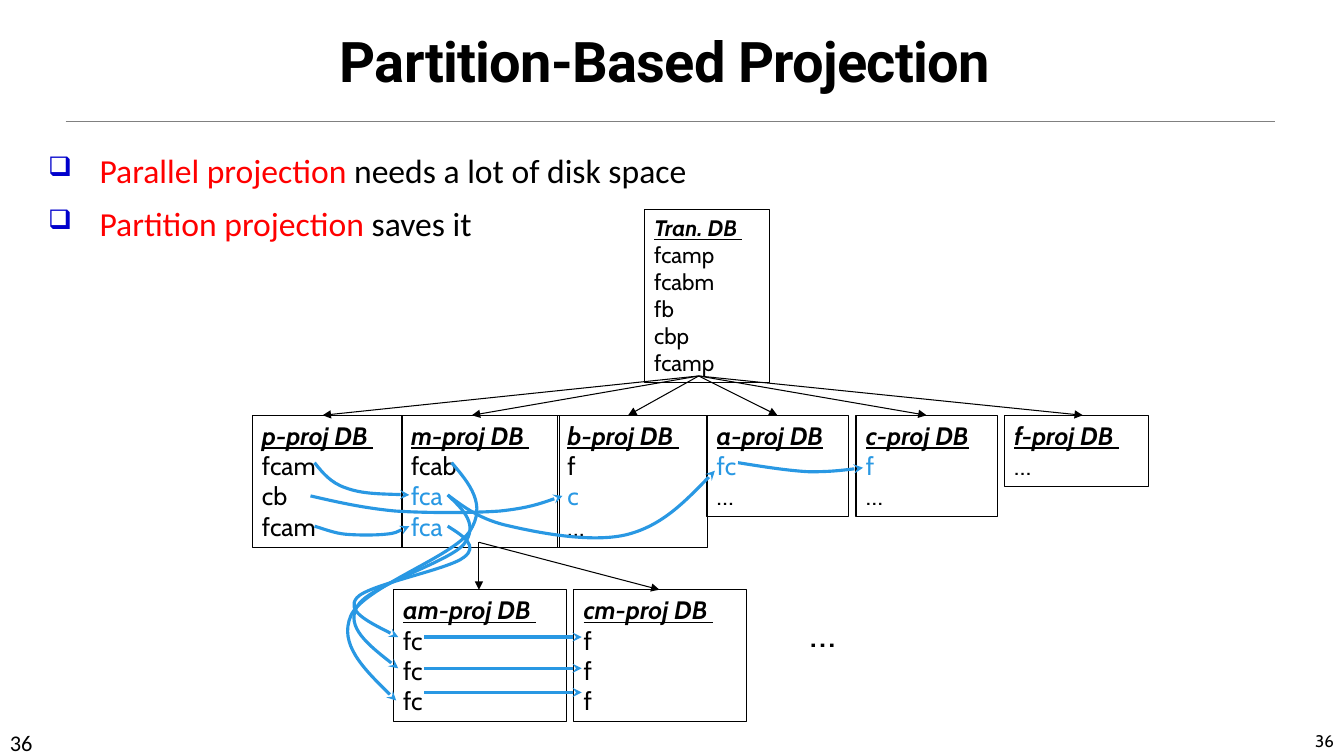
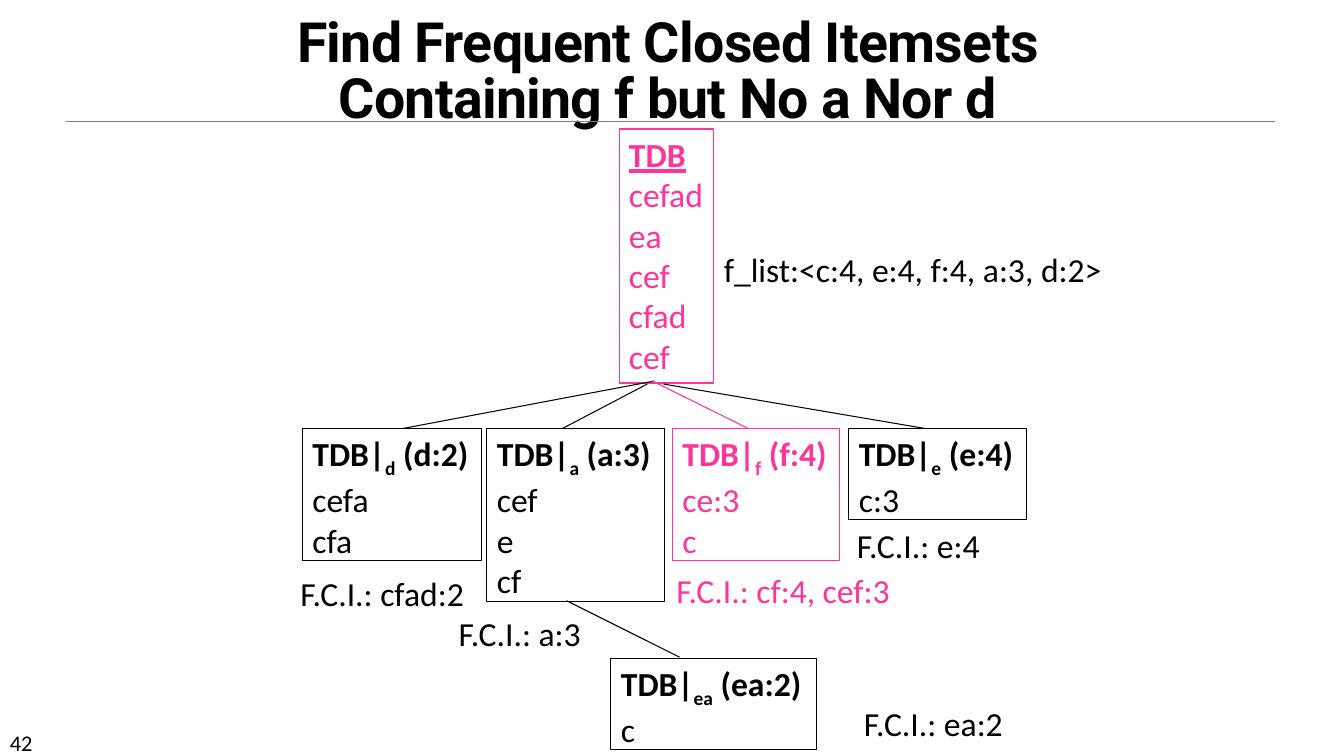
from lxml.etree import SubElement
from pptx import Presentation
from pptx.dml.color import RGBColor
from pptx.enum.shapes import MSO_CONNECTOR, MSO_SHAPE
from pptx.enum.text import MSO_ANCHOR as Anchor, MSO_AUTO_SIZE, PP_ALIGN as Align
from pptx.oxml.ns import qn
from pptx.util import Inches, Pt

WIDTH, HEIGHT = 13.33, 7.5
LINE_HEIGHT = 1.21 / 72  # inches of line height per point of text
COLORS = {"black": "000000", "gray": "808080", "red": "FF0000", "bullet": "0000CC",
          "blue": "2998E3", "pink": "FF3399"}

PROJECTION_BULLETS = [("Parallel projection ", "needs a lot of disk space"),
                      ("Partition projection ", "saves it")]

# left, top, width, text size, heading, lines, positions of the blue lines
ROOT_DB = (6.39, 2.08, 1.24, 16, "Tran. DB ", ["fcamp", "fcabm", "fb", "cbp", "fcamp"], ())
ROW, SUB_ROW = 4.12, 5.85
PROJECTED_DBS = [
    (2.5, ROW, 1.49, 18, "p-proj DB ", ["fcam", "cb", "fcam"], ()),
    (3.98, ROW, 1.57, 18, "m-proj DB ", ["fcab", "fca", "fca"], (1, 2)),
    (5.53, ROW, 1.49, 18, "b-proj DB ", ["f", "c", "…"], (1,)),
    (7.01, ROW, 1.41, 18, "a-proj DB", ["fc", "…"], (0,)),
    (8.49, ROW, 1.4, 18, "c-proj DB", ["f", "…"], (0,)),
    (9.96, ROW, 1.43, 18, "f-proj DB ", ["…"], ()),
    (3.9, SUB_ROW, 1.72, 18, "am-proj DB ", ["fc"] * 3, ()),
    (5.69, SUB_ROW, 1.71, 18, "cm-proj DB ", ["f"] * 3, ()),
]
# start point, row of the targets, x of each target
PROJECTION_ARROWS = [
    ((6.93, 3.73), ROW, [3.2, 4.68, 6.23, 7.71, 9.19, 10.74]),
    ((4.75, 5.38), SUB_ROW, [4.75, 6.54]),
]
FC_TO_F_ROWS = [6.32, 6.63, 6.87]
# start point, then three points for each Bézier segment
TRANSFER_CURVES = [
    [(3.12, 4.59), (3.2, 4.69), (3.28, 4.79), (3.43, 4.84),
     (3.59, 4.9), (3.82, 4.9), (4.06, 4.91)],
    [(4.44, 4.91), (4.6, 5.03), (4.77, 5.16), (5.06, 5.22), (5.36, 5.29), (5.89, 5.39),
     (6.23, 5.3), (6.57, 5.21), (6.83, 4.94), (7.09, 4.67)],
    [(7.32, 4.59), (7.57, 4.63), (7.82, 4.67), (8.03, 4.68),
     (8.24, 4.68), (8.4, 4.66), (8.56, 4.64)],
    [(3.12, 5.22), (3.22, 5.25), (3.32, 5.29), (3.43, 5.3), (3.55, 5.31), (3.72, 5.31),
     (3.82, 5.3), (3.93, 5.29), (3.99, 5.25), (4.06, 5.22)],
    [(4.44, 5.22), (4.6, 5.32), (4.75, 5.42), (4.6, 5.53), (4.45, 5.65), (3.65, 5.8),
     (3.54, 5.93), (3.43, 6.06), (3.69, 6.19), (3.95, 6.32)],
    [(4.44, 4.91), (4.6, 5.06), (4.75, 5.21), (4.6, 5.4), (4.45, 5.58), (3.65, 5.81),
     (3.54, 6.02), (3.43, 6.22), (3.69, 6.43), (3.95, 6.63)],
    [(4.48, 4.59), (4.66, 4.8), (4.83, 5.01), (4.66, 5.27), (4.5, 5.52), (3.6, 5.83),
     (3.48, 6.11), (3.36, 6.39), (3.64, 6.67), (3.93, 6.95)],
    [(3.08, 4.92), (3.34, 4.98), (3.6, 5.04), (3.92, 5.07), (4.23, 5.09), (4.68, 5.09),
     (4.96, 5.07), (5.24, 5.04), (5.41, 4.98), (5.58, 4.92)],
]

# left, top, width, items, support, lines, color
CONDITIONAL_DBS = [
    (3, 4.25, 1.78, "d", 2, ["cefa", "cfa"], "black"),
    (4.83, 4.25, 1.76, "a", 3, ["cef", "e", "cf"], "black"),
    (6.67, 4.25, 1.66, "f", 4, ["ce:3", "c"], "pink"),
    (8.42, 4.25, 1.76, "e", 4, ["c:3"], "black"),
    (6.06, 6.53, 2.04, "ea", 2, ["c"], "black"),
]
# left, top, width, text, color
ITEMSET_LABELS = [
    (7.08, 2.42, 3.98, "f_list:<c:4, e:4, f:4, a:3, d:2>", "black"),
    (2.88, 5.63, 1.9, "F.C.I.: cfad:2", "black"),
    (4.45, 6.03, 1.5, "F.C.I.: a:3", "black"),
    (6.61, 5.6, 2.4, "F.C.I.: cf:4, cef:3", "pink"),
    (8.4, 5.16, 1.5, "F.C.I.: e:4", "black"),
    (8.47, 6.92, 1.65, "F.C.I.: ea:2", "black"),
]
ITEMSET_BRANCHES = [
    ((6.49, 3.78), (4, 4.25), "black"),
    ((6.42, 3.81), (5.58, 4.25), "black"),
    ((6.47, 3.78), (7.42, 4.25), "pink"),
    ((6.58, 3.81), (9.17, 4.25), "black"),
    ((5.62, 5.96), (6.74, 6.52), "black"),
]


def rgb(name):
    return RGBColor.from_string(COLORS[name])


def set_font(font, name, size, color="black", bold=False, italic=False, underline=False):
    font.name, font.size = name, Pt(size)
    font.bold, font.italic, font.underline = bold, italic, underline
    font.color.rgb = rgb(color)


def style_line(line, color, width, arrowhead=None):
    line.color.rgb = rgb(color)
    line.width = Pt(width)
    if arrowhead:
        SubElement(line._get_or_add_ln(), qn("a:tailEnd"), type=arrowhead)


def add_line(slide, start, end, color="black", width=0.75, arrowhead=None):
    points = [Inches(value) for value in (*start, *end)]
    connector = slide.shapes.add_connector(MSO_CONNECTOR.STRAIGHT, *points)
    style_line(connector.line, color, width, arrowhead)
    SubElement(connector._element.spPr, qn("a:effectLst"))


def add_curve(slide, points):
    """Draw an arrow along Bézier segments of three points each."""
    start, *rest = [(Inches(x), Inches(y)) for x, y in points]
    builder = slide.shapes.build_freeform(*start, scale=1.0)
    builder.add_line_segments(rest, close=False)
    curve = builder.convert_to_shape()
    curve.shadow.inherit = False
    curve.fill.background()
    style_line(curve.line, "blue", 2.25, "stealth")
    steps = list(curve._element.iter(qn("a:lnTo")))
    for first in range(0, len(steps), 3):
        outline = steps[first].getparent()
        segment = SubElement(outline, qn("a:cubicBezTo"))
        for step in steps[first:first + 3]:
            segment.append(step[0])
            outline.remove(step)


def add_text(slide, left, top, width, height, paragraphs, border=None):
    """Add a box; each paragraph is a list of runs and a dict of font settings."""
    area = [Inches(value) for value in (left, top, width, height)]
    if border:
        shape = slide.shapes.add_shape(MSO_SHAPE.RECTANGLE, *area)
        shape.shadow.inherit = False
        shape.fill.background()
        style_line(shape.line, border, 0.75)
    else:
        shape = slide.shapes.add_textbox(*area)
    frame = shape.text_frame
    frame.word_wrap = True
    frame.vertical_anchor = Anchor.TOP
    frame.margin_right = 0
    for index, (runs, font) in enumerate(paragraphs):
        paragraph = frame.add_paragraph() if index else frame.paragraphs[0]
        paragraph.alignment = Align.LEFT
        for text in runs:
            paragraph.add_run().text = text
        set_font(paragraph.font, **font)
    return frame


def add_database(slide, left, top, width, heading, lines, border="black"):
    """Add a bordered box that is as tall as its lines need."""
    paragraphs = [heading, *lines]
    height = 0.1 + len(paragraphs) * heading[1]["size"] * LINE_HEIGHT
    return add_text(slide, left, top, width, height, paragraphs, border)


def add_base_slide(presentation, title, number, area, size, anchor):
    slide = presentation.slides.add_slide(presentation.slide_layouts[5])
    add_line(slide, (0.65, 1.2), (12.65, 1.2), "gray", 0.5)
    add_text(slide, 0, 7.18, 1.17, 0.3, [([number], dict(name="Calibri", size=16))])
    shape = slide.shapes.title
    shape.left, shape.top, shape.width, shape.height = [Inches(value) for value in area]
    frame = shape.text_frame
    frame.auto_size = MSO_AUTO_SIZE.NONE
    frame.word_wrap = True
    frame.vertical_anchor = anchor
    paragraph = frame.paragraphs[0]
    run = paragraph.add_run()
    run.text = title
    run._r.get_or_add_rPr().set("spc", "-50")
    paragraph.alignment = Align.CENTER
    paragraph.line_spacing = 0.85
    set_font(paragraph.font, "Roboto", size, bold=True)
    return slide


def add_bullets(slide):
    body = dict(name="Calibri", size=24)
    frame = add_text(slide, 0.38, 1.4, 12.47, 5.8, [])
    for index, texts in enumerate(PROJECTION_BULLETS):
        paragraph = frame.add_paragraph() if index else frame.paragraphs[0]
        properties = paragraph._p.get_or_add_pPr()
        properties.set("marL", str(Inches(0.51)))
        properties.set("indent", str(-Inches(0.51)))
        color = SubElement(properties, qn("a:buClr"))
        SubElement(color, qn("a:srgbClr"), val=COLORS["bullet"])
        SubElement(properties, qn("a:buSzPct"), val="80000")
        SubElement(properties, qn("a:buChar"), char="❑")
        paragraph.line_spacing = 1.1
        paragraph.space_before = Pt(6 if index else 0)
        set_font(paragraph.font, **body)
        for text, name in zip(texts, ("red", "black")):
            run = paragraph.add_run()
            run.text = text
            run.font.color.rgb = rgb(name)


def build_projection_slide(presentation):
    slide = add_base_slide(presentation, "Partition-Based Projection", "36",
                           (0.38, 0.24, 12.43, 0.81), 40, Anchor.MIDDLE)
    add_bullets(slide)
    frame = add_text(slide, 11.25, 7.08, 1.98, 0.42, [(["36"], dict(name="Cabin", size=12))])
    frame.vertical_anchor = Anchor.BOTTOM
    frame.paragraphs[0].alignment = Align.RIGHT

    for left, top, width, size, name, lines, blue in [ROOT_DB, *PROJECTED_DBS]:
        font = dict(name="Cabin", size=size)
        heading = ([name], dict(font, bold=True, italic=True, underline=True))
        body = [([line], dict(font, color="blue" if index in blue else "black"))
                for index, line in enumerate(lines)]
        add_database(slide, left, top, width, heading, body)
    add_text(slide, 7.93, 5.99, 0.52, 0.57, [(["…"], dict(name="Cabin", size=28))])

    for start, row, targets in PROJECTION_ARROWS:
        for x in targets:
            add_line(slide, start, (x, row), arrowhead="triangle")
    for y in FC_TO_F_ROWS:
        add_line(slide, (4.21, y), (5.77, y), "blue", 2.25, "stealth")
    for points in TRANSFER_CURVES:
        add_curve(slide, points)


def build_itemset_slide(presentation):
    slide = add_base_slide(presentation,
                           "Find Frequent Closed Itemsets Containing f but No a Nor d", "42",
                           (2.08, 0.67, 9.08, 0.67), 39.6, Anchor.BOTTOM)
    font = dict(name="Calibri", size=24)
    pink = dict(font, color="pink")
    add_database(slide, 6.14, 1.28, 0.94, (["TDB"], dict(pink, bold=True, underline=True)),
                 [([line], pink) for line in ["cefad", "ea", "cef", "cfad", "cef"]], "pink")
    for left, top, width, items, support, lines, color in CONDITIONAL_DBS:
        colored = dict(font, color=color)
        heading = (["TDB|", items, f" ({items}:{support})"], dict(colored, bold=True))
        frame = add_database(slide, left, top, width, heading,
                             [([line], colored) for line in lines], color)
        subscript = frame.paragraphs[0].runs[1]
        subscript._r.get_or_add_rPr().set("baseline", "-25000")
    for left, top, width, text, color in ITEMSET_LABELS:
        add_text(slide, left, top, width, 0.5, [([text], dict(font, color=color))])
    for start, end, color in ITEMSET_BRANCHES:
        add_line(slide, start, end, color)


def main():
    presentation = Presentation()
    presentation.slide_width, presentation.slide_height = Inches(WIDTH), Inches(HEIGHT)
    build_projection_slide(presentation)
    build_itemset_slide(presentation)
    presentation.save("out.pptx")


if __name__ == "__main__":
    main()
